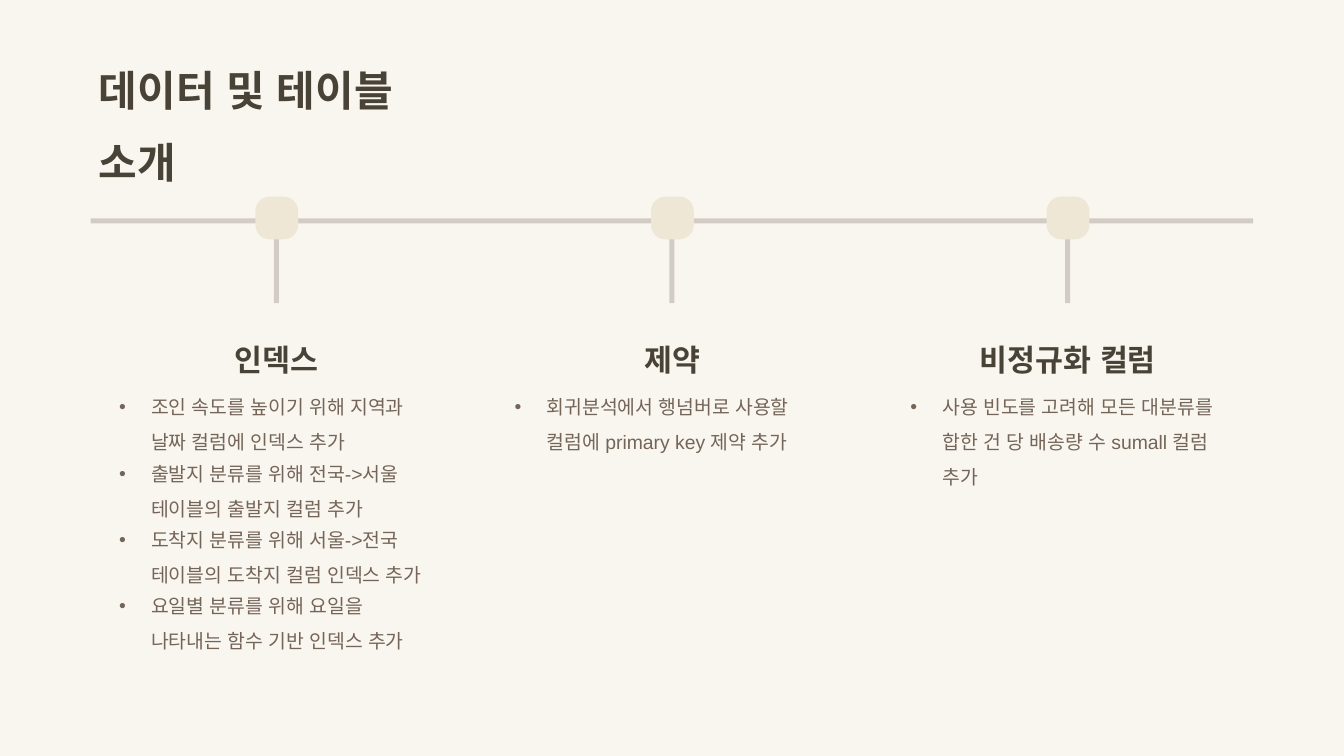
import pptx
import pptx.dml.color
import pptx.enum.lang
import pptx.enum.shapes
import pptx.enum.text
import pptx.oxml
import pptx.oxml.ns
import pptx.util

Inches = pptx.util.Inches
Shape = pptx.enum.shapes.MSO_SHAPE
Align = pptx.enum.text.PP_ALIGN

PAPER, LINE, KNOT = "F9F6F0", "D2CCC5", "EFE7D6"
DARK, BROWN = "484237", "746558"

COLUMNS = [
    ("인덱스", [
        "조인 속도를 높이기 위해 지역과 날짜 컬럼에 인덱스 추가",
        "출발지 분류를 위해 전국->서울 테이블의 출발지 컬럼 추가",
        "도착지 분류를 위해 서울->전국 테이블의 도착지 컬럼 인덱스 추가",
        "요일별 분류를 위해 요일을 나타내는 함수 기반 인덱스 추가",
    ]),
    ("제약", ["회귀분석에서 행넘버로 사용할 컬럼에 primary key 제약 추가"]),
    ("비정규화 컬럼", ["사용 빈도를 고려해 모든 대분류를 합한 건 당 배송량 수 sumall 컬럼 추가"]),
]


def color(code):
    return pptx.dml.color.RGBColor.from_string(code)


class Board:
    face = "Arial"

    def __init__(self, deck):
        self.slide = deck.slides.add_slide(deck.slide_layouts[6])
        fill = self.slide.background.fill
        fill.solid()
        fill.fore_color.rgb = color(PAPER)

    def block(self, kind, box, tint):
        shape = self.slide.shapes.add_shape(kind, *map(Inches, box))
        shape.shadow.inherit = False
        shape.fill.solid()
        shape.fill.fore_color.rgb = color(tint)
        shape.line.fill.background()
        return shape

    def bar(self, *box):
        self.block(Shape.RECTANGLE, box, LINE)

    def knot(self, *box):
        self.block(Shape.ROUNDED_RECTANGLE, box, KNOT).adjustments[0] = 0.34

    def text(self, words, box, size, tint, gap, bold=False, align=Align.LEFT):
        frame = self.slide.shapes.add_textbox(*map(Inches, box)).text_frame
        frame.word_wrap = True
        para = frame.paragraphs[0]
        para.alignment = align
        para.line_spacing = gap
        run = para.add_run()
        run.text = words
        font = run.font
        font.name = self.face
        font.size = pptx.util.Pt(size)
        font.bold = bold
        font.color.rgb = color(tint)
        font.language_id = pptx.enum.lang.MSO_LANGUAGE_ID.KOREAN
        # East Asian letters use the same face
        east = pptx.oxml.parse_xml(
            f'<a:ea {pptx.oxml.ns.nsdecls("a")} typeface="{self.face}"/>')
        run._r.get_or_add_rPr().append(east)
        return para

    def bullet(self, words, box):
        para = self.text(words, box, 16.6, BROWN, 1.5)
        props = para._p.get_or_add_pPr()
        props.set("marL", str(Inches(0.38)))
        props.set("indent", str(-Inches(0.38)))
        space = pptx.oxml.ns.nsdecls("a")
        for mark in (
            f'<a:buClr {space}><a:srgbClr val="{BROWN}"/></a:buClr>',
            f'<a:buFont {space} typeface="{self.face}"/>',
            f'<a:buChar {space} char="•"/>',
        ):
            props.append(pptx.oxml.parse_xml(mark))


def main():
    deck = pptx.Presentation()
    deck.slide_width, deck.slide_height = Inches(16), Inches(9)
    board = Board(deck)

    # Time line
    board.bar(1.08, 2.6, 13.84, 0.06)

    # Three columns, each hung from a knot
    for col, (head, notes) in enumerate(COLUMNS):
        mid = 3.29 + 4.71 * col
        board.bar(mid - 0.03, 2.6, 0.06, 1.01)
        board.knot(mid - 0.25, 2.34, 0.51, 0.51)
        board.text(head, (mid - 1.8, 3.9, 3.61, 0.45), 26, DARK, 1.25,
                   bold=True, align=Align.CENTER)
        for row, note in enumerate(notes):
            board.bullet(note, (mid - 1.97, 4.52 + 0.79 * row, 4, 0.69))

    # Title
    board.text("데이터 및 테이블 소개", (1.08, 0.45, 4.57, 0.72), 36, DARK, 1.44,
               bold=True)

    deck.save("out.pptx")


if __name__ == "__main__":
    main()
